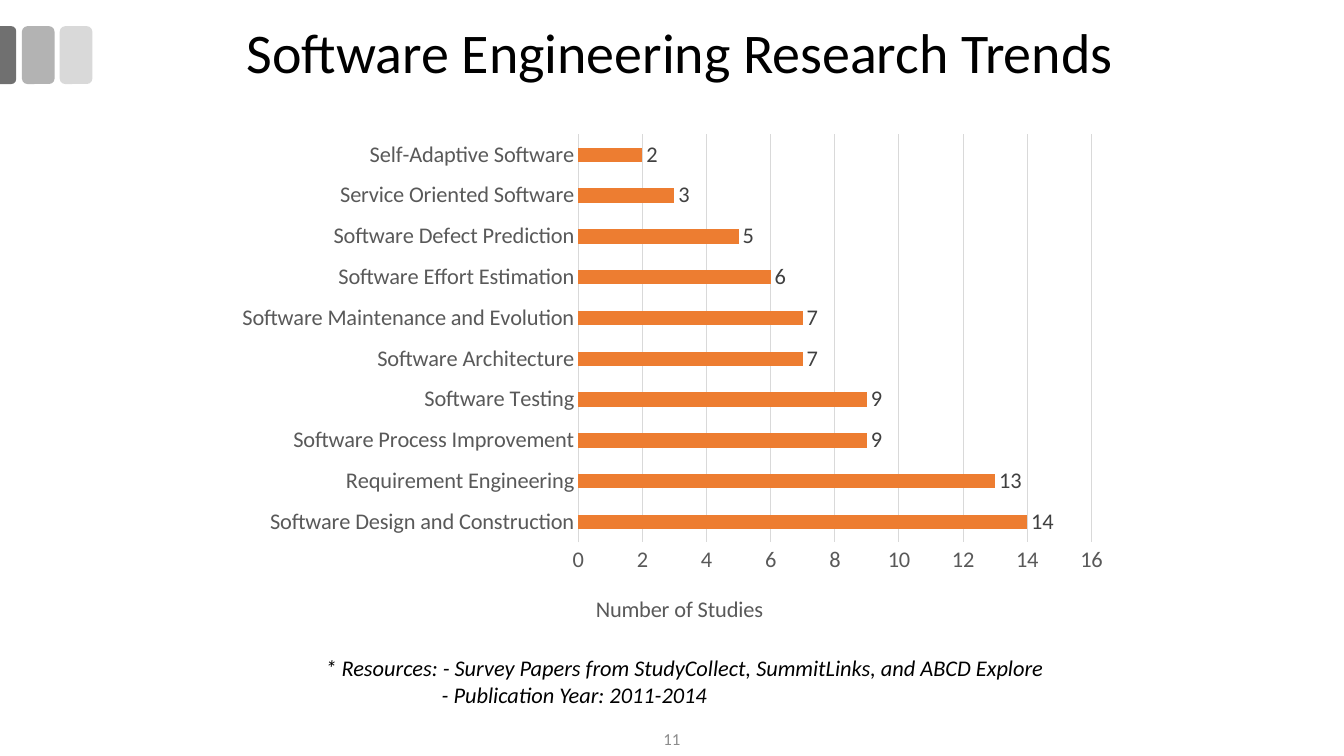
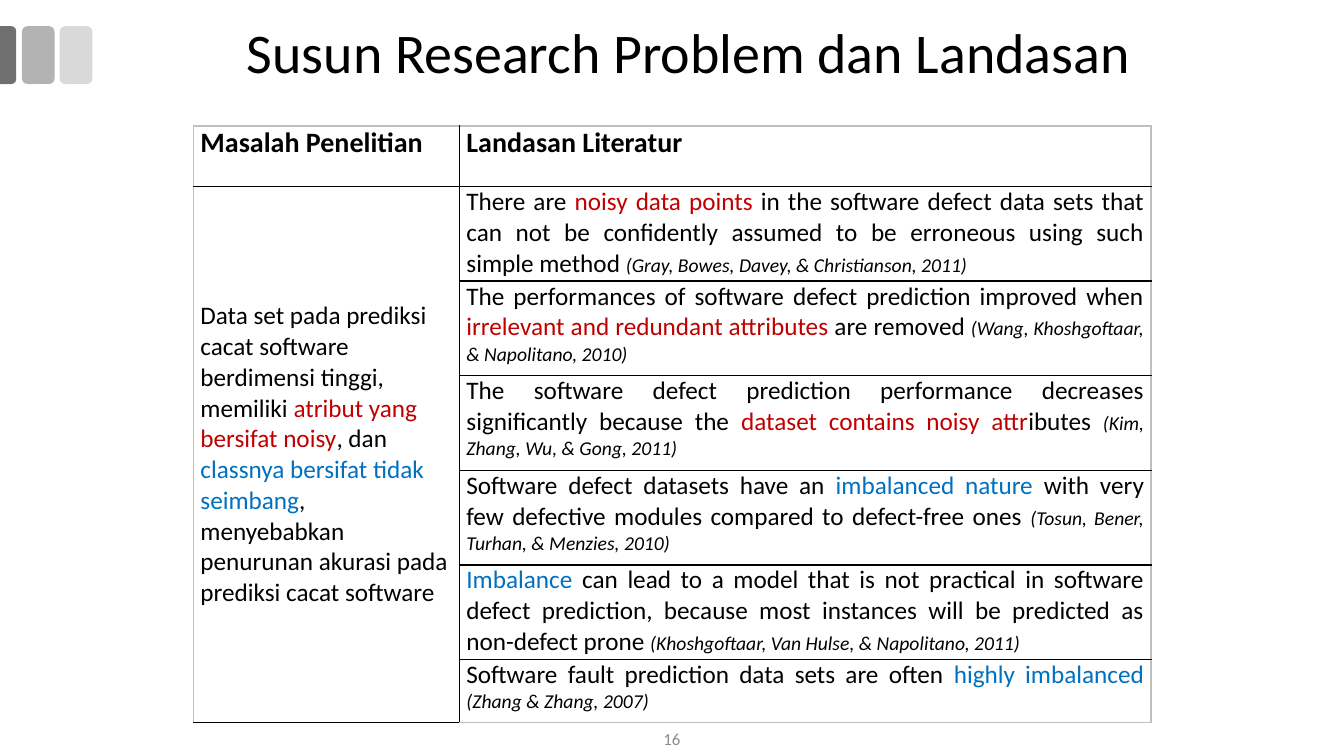
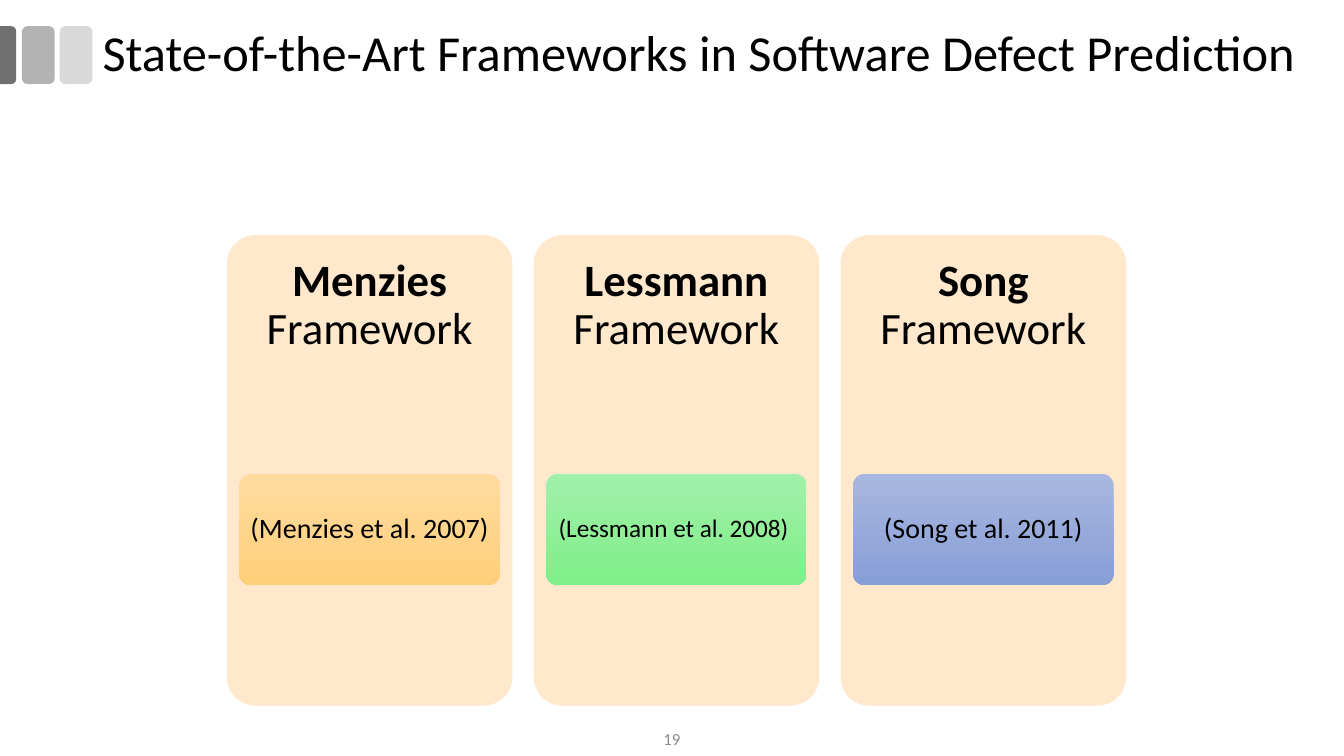
"""Build three slides on software engineering research."""
import pptx
import pptx.chart.data
import pptx.dml.color
import pptx.enum.chart
import pptx.enum.shapes
import pptx.enum.text
import pptx.oxml.ns
import pptx.util
from lxml import etree

Pt = pptx.util.Pt
qn = pptx.oxml.ns.qn
SHAPE = pptx.enum.shapes.MSO_SHAPE
ALIGN = pptx.enum.text.PP_ALIGN
MID = pptx.enum.text.MSO_ANCHOR.MIDDLE
TOP = pptx.enum.text.MSO_ANCHOR.TOP

BLACK, GREY, RULE, EDGE = "000000", "595959", "D9D9D9", "BFBFBF"
BASE = {"name": "Calibri", "bold": False, "italic": False, "color": BLACK}
BODY = {"size": Pt(18)}
RED = {**BODY, "color": "C00000"}
BLUE = {**BODY, "color": "0070C0"}
CITE = {"size": Pt(14), "italic": True}
HEAD = {"size": Pt(20), "bold": True}
PAD = (7.2, 3.6, 7.2, 3.6)

TRENDS = [
    ("Software Design and Construction", 14),
    ("Requirement Engineering", 13),
    ("Software Process Improvement", 9),
    ("Software Testing", 9),
    ("Software Architecture", 7),
    ("Software Maintenance and Evolution", 7),
    ("Software Effort Estimation", 6),
    ("Software Defect Prediction", 5),
    ("Service Oriented Software", 3),
    ("Self-Adaptive Software", 2),
]
ISSUE = [
    ("Data set pada prediksi cacat software berdimensi tinggi, memiliki ", BODY),
    ("atribut yang bersifat noisy", RED),
    (", dan ", BODY),
    ("classnya bersifat tidak seimbang", BLUE),
    (", menyebabkan penurunan akurasi pada prediksi cacat software", BODY),
]
PROOF = [
    [("There are ", BODY), ("noisy data points ", RED),
     ("in the software defect data sets that can not be confidently assumed "
      "to be erroneous using such simple method ", BODY),
     ("(Gray, Bowes, Davey, & Christianson, 2011)", CITE)],
    [("The performances of software defect prediction improved when ", BODY),
     ("irrelevant and redundant attributes", RED), (" are removed ", BODY),
     ("(Wang, Khoshgoftaar, & Napolitano, 2010)", CITE)],
    [("The software defect prediction performance decreases significantly "
      "because the ", BODY),
     ("dataset contains noisy attr", RED), ("ibutes ", BODY),
     ("(Kim, Zhang, Wu, & Gong, 2011)", CITE)],
    [("Software defect datasets have an ", BODY), ("imbalanced nature ", BLUE),
     ("with very few defective modules compared to defect-free ones ", BODY),
     ("(Tosun, Bener, Turhan, & Menzies, 2010)", CITE)],
    [("Imbalance", BLUE),
     (" can lead to a model that is not practical in software defect "
      "prediction, because most instances will be predicted as non-defect "
      "prone ", BODY),
     ("(Khoshgoftaar, Van Hulse, & Napolitano, 2011)", CITE)],
    [("Software fault prediction data sets are often ", BODY),
     ("highly imbalanced ", BLUE), ("(Zhang & Zhang, 2007)", CITE)],
]
FRAMES = [
    ("Menzies", "(Menzies et al. 2007)", 20, ("FFDB9E", "FFD07C")),
    ("Lessmann", "(Lessmann et al. 2008) ", 18, ("A1F0A9", "7FEF89")),
    ("Song", "(Song et al. 2011)", 20, ("A8B7DF", "889ED7")),
]


def paint(code):
    """Turn a hex string into a colour."""
    return pptx.dml.color.RGBColor.from_string(code)


def style(font, look):
    """Set the base look and its changes on a font."""
    for key, val in {**BASE, **look}.items():
        if key == "color":
            font.color.rgb = paint(val)
        else:
            setattr(font, key, val)


def write(frame, paras, anchor=MID, pad=PAD, **form):
    """Fill a text frame with paragraphs made of styled runs."""
    sides = ("margin_left", "margin_top", "margin_right", "margin_bottom")
    for side, gap in zip(sides, pad):
        setattr(frame, side, Pt(gap))
    frame.word_wrap = True
    frame.vertical_anchor = anchor
    for num, runs in enumerate(paras):
        para = frame.add_paragraph() if num else frame.paragraphs[0]
        for key, val in form.items():
            setattr(para, key, val)
        for text, look in runs:
            run = para.add_run()
            run.text = text
            style(run.font, look)


def label(slide, box, paras, **form):
    """Add a text box and return its frame."""
    frame = slide.shapes.add_textbox(*map(Pt, box)).text_frame
    write(frame, paras, **form)
    return frame


def block(slide, kind, box, fill, adj=()):
    """Add a plain shape with a flat or two-colour fill."""
    shape = slide.shapes.add_shape(kind, *map(Pt, box))
    shape.shadow.inherit = False
    shape.line.fill.background()
    for num, val in enumerate(adj):
        shape.adjustments[num] = val
    if isinstance(fill, str):
        shape.fill.solid()
        shape.fill.fore_color.rgb = paint(fill)
    else:
        shape.fill.gradient()
        shape.fill.gradient_angle = 270
        for stop, code in zip(shape.fill.gradient_stops, fill):
            stop.color.rgb = paint(code)
    return shape


def start(deck, title, page, left=169.2, size=40):
    """Add a slide with its title, corner tabs and page number."""
    slide = deck.slides.add_slide(deck.slide_layouts[6])
    for x, code in ((42.7, "D9D9D9"), (15.7, "B3B3B3")):
        block(slide, SHAPE.ROUNDED_RECTANGLE, (x, 18.7, 23.3, 41.3), code)
    tab = block(slide, SHAPE.ROUND_2_SAME_RECTANGLE,
                (-14.9, 33.6, 41.3, 11.5), "707070", (0.29, 0))
    tab.rotation = 90
    label(slide, (left, 12.2, 959 - left, 54),
          [[(title, {"size": Pt(size)})]], line_spacing=0.9)
    label(slide, (372, 516, 216, 24),
          [[(page, {"size": Pt(12), "color": "8C8C8C"})]],
          alignment=ALIGN.CENTER)
    return slide


def layout(owner, spot, **vals):
    """Give a chart part a fixed place, as shares of the chart."""
    for old in owner.findall(qn("c:layout")):
        owner.remove(old)
    node = etree.Element(qn("c:layout"))
    inner = etree.SubElement(node, qn("c:manualLayout"))
    for key, val in vals.items():
        etree.SubElement(inner, qn("c:" + key)).set("val", str(val))
    owner.insert(spot, node)


def bars(slide, box):
    """Add the bar chart of studies per topic."""
    names, counts = zip(*TRENDS)
    data = pptx.chart.data.CategoryChartData()
    data.categories = names
    data.add_series("Series 1", counts)
    kinds = pptx.enum.chart
    chart = slide.shapes.add_chart(
        kinds.XL_CHART_TYPE.BAR_CLUSTERED, *map(Pt, box), data).chart
    chart.has_title = chart.has_legend = False
    look = {"size": Pt(16), "color": GREY}
    style(chart.font, look)
    plot = chart.plots[0]
    plot.gap_width = 182
    plot.vary_by_categories = False
    fill = plot.series[0].format.fill
    fill.solid()
    fill.fore_color.rgb = paint("ED7D31")
    plot.has_data_labels = True
    tags = plot.data_labels
    tags.show_value = True
    tags.position = kinds.XL_LABEL_POSITION.OUTSIDE_END
    style(tags.font, {**look, "color": "404040"})
    cats, vals = chart.category_axis, chart.value_axis
    for axis in (cats, vals):
        axis.major_tick_mark = kinds.XL_TICK_MARK.NONE
        axis.minor_tick_mark = kinds.XL_TICK_MARK.NONE
        style(axis.tick_labels.font, look)
    vals.minimum_scale, vals.maximum_scale, vals.major_unit = 0, 16, 2
    vals.format.line.fill.background()
    for part in (cats, vals.major_gridlines):
        part.format.line.width = Pt(0.75)
        part.format.line.color.rgb = paint(RULE)
    run = vals.axis_title.text_frame.paragraphs[0].add_run()
    run.text = "Number of Studies"
    style(run.font, look)
    layout(vals.axis_title._element, 1, xMode="edge", yMode="edge",
           x=0.41, y=0.9)
    layout(chart._chartSpace.chart.plotArea, 0, layoutTarget="inner",
           xMode="edge", yMode="edge", x=0.395, y=0.02, w=0.572, h=0.789)


def border(cell, codes):
    """Draw the left, right, top and bottom lines of a cell."""
    props = cell._tc.get_or_add_tcPr()
    for spot, (side, code) in enumerate(zip("LRTB", codes)):
        line = etree.Element(qn("a:ln" + side), w=str(Pt(1)))
        fill = etree.SubElement(line, qn("a:solidFill"))
        etree.SubElement(fill, qn("a:srgbClr"), val=code)
        props.insert(spot, line)


def grid(slide, box):
    """Add the table of the problem and its literature."""
    high = [43.2] + [67.6] * 5 + [45]
    wide = [190, box[2] - 190]
    table = slide.shapes.add_table(7, 2, *map(Pt, box)).table
    table.first_row = table.horz_banding = False
    for parts, key, sizes in ((table.rows, "height", high),
                              (table.columns, "width", wide)):
        for part, size in zip(parts, sizes):
            setattr(part, key, Pt(size))
    table.cell(1, 0).merge(table.cell(6, 0))
    heads = [[("Masalah Penelitian", HEAD)], [("Landasan Literatur", HEAD)]]
    texts = [heads, [ISSUE, PROOF[0]]] + [[None, runs] for runs in PROOF[1:]]
    for row, pair in enumerate(texts):
        for col, runs in enumerate(pair):
            cell = table.cell(row, col)
            cell.fill.background()
            outer = (col == 0, col == 1, row == 0, row == 6)
            border(cell, [EDGE if out else BLACK for out in outer])
            side = runs is ISSUE
            cell.vertical_anchor = MID if side else TOP
            cell.margin_left = cell.margin_right = Pt(5)
            cell.margin_top = cell.margin_bottom = 0
            if runs:
                para = cell.text_frame.paragraphs[0]
                para.alignment = ALIGN.LEFT if side else ALIGN.JUSTIFY
                para.space_after = Pt(11)
                for text, look in runs:
                    run = para.add_run()
                    run.text = text
                    style(run.font, look)


def card(slide, box, name, cite, size, fade):
    """Add one framework card with its source plate."""
    x, y, w, h = box
    block(slide, SHAPE.ROUNDED_RECTANGLE, box, "FFE8CC", (0.1,))
    form = {"alignment": ALIGN.CENTER, "line_spacing": 0.9}
    big = {"size": Pt(32)}
    label(slide, (x, y, w, h * 0.3),
          [[(name, {**big, "bold": True}), (" Framework", big)]],
          pad=(9.4,) * 4, **form)
    plate = block(slide, SHAPE.ROUNDED_RECTANGLE,
                  (x + 9, y + 170.6, w - 18, 79.2), fade, (0.1,))
    write(plate.text_frame, [[(cite, {"size": Pt(size)})]],
          pad=(4, 3, 4, 3), **form)


def trends(deck):
    """Build the chart slide."""
    slide = start(deck, "Software Engineering Research Trends", "11")
    bars(slide, (160, 88.6, 640.8, 369.4))
    look = {"size": Pt(16), "italic": True}
    note = label(slide, (225.4, 463.7, 587.5, 46), [
        [("* Resources: - Survey Papers from StudyCollect, SummitLinks, "
          "and ABCD Explore", look)],
        [("- Publication Year: 2011-2014", look)]])
    note.paragraphs[1]._p.get_or_add_pPr().set("marL", str(Pt(83)))


def basis(deck):
    """Build the table slide."""
    slide = start(deck, "Susun Research Problem dan Landasan", "16")
    grid(slide, (138.2, 90, 684, 426.2))


def frames(deck):
    """Build the slide of framework cards."""
    slide = start(deck, "State-of-the-Art Frameworks in Software Defect "
                  "Prediction", "19", 66.2, 36)
    for num, facts in enumerate(FRAMES):
        card(slide, (162 + num * 219.2, 168, 204, 336), *facts)


def main():
    """Build and save the deck."""
    deck = pptx.Presentation()
    deck.slide_width, deck.slide_height = Pt(960), Pt(540)
    for build in (trends, basis, frames):
        build(deck)
    deck.save("out.pptx")


if __name__ == "__main__":
    main()
